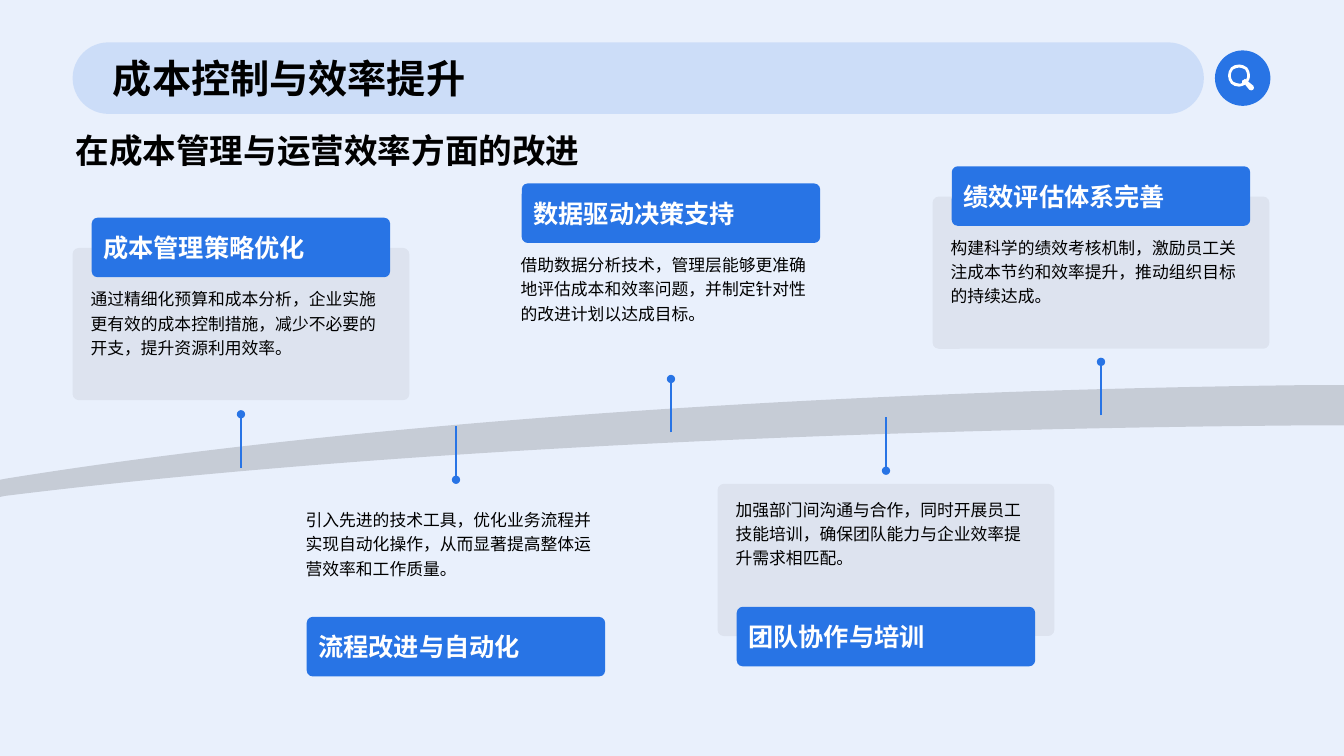
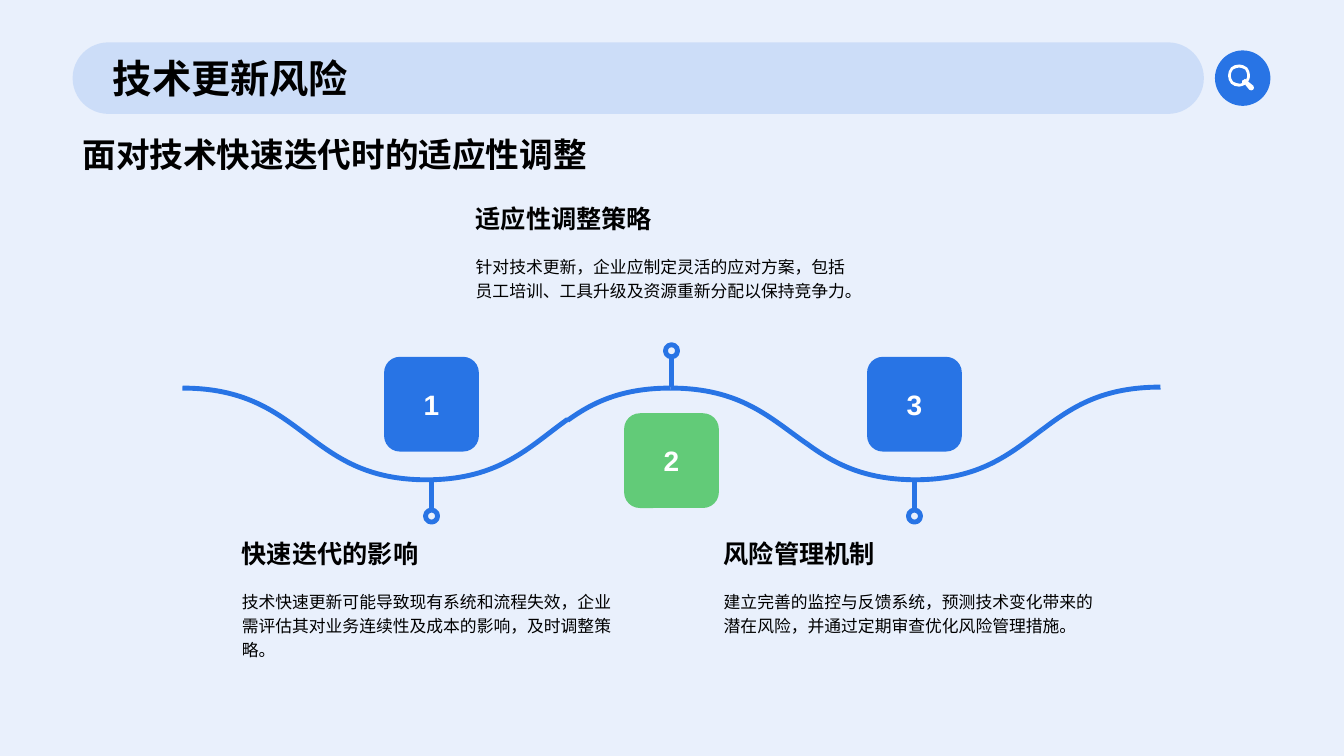
from dataclasses import dataclass

from lxml import etree
from pptx import Presentation
from pptx.dml.color import RGBColor
from pptx.enum.shapes import MSO_CONNECTOR, MSO_SHAPE
from pptx.enum.text import MSO_ANCHOR, MSO_AUTO_SIZE, PP_ALIGN
from pptx.oxml.ns import qn
from pptx.util import Inches, Pt

RECTANGLE = MSO_SHAPE.RECTANGLE
ROUNDED = MSO_SHAPE.ROUNDED_RECTANGLE
ELLIPSE = MSO_SHAPE.OVAL
STRAIGHT = MSO_CONNECTOR.STRAIGHT
TOP, MIDDLE = MSO_ANCHOR.TOP, MSO_ANCHOR.MIDDLE
LEFT, CENTER = PP_ALIGN.LEFT, PP_ALIGN.CENTER
NO_AUTOFIT = MSO_AUTO_SIZE.NONE
TITLE_ONLY = 5
SLIDE_WIDTH, SLIDE_HEIGHT = 13.33, 7.5


@dataclass(frozen=True)
class Theme:
    blue: str = "2874E5"
    green: str = "62CB78"
    white: str = "FFFFFF"
    black: str = "000000"
    font: str = "Arial"
    title_font: str = "Times New Roman"
    title_size: int = 28
    subtitle_size: int = 24
    number_size: int = 20
    heading_size: int = 18
    body_size: int = 12
    wave_width: float = 3.5
    pointer_width: float = 1.5


THEME = Theme()

# heading, body, label top, pointer start, label above the body, grey panel
CARDS = [
    ("成本管理策略优化",
     "通过精细化预算和成本分析，企业实施更有效的成本控制措施，减少不必要的开支，提升资源利用效率。",
     2.16, 4.64, True, True),
    ("流程改进与自动化",
     "引入先进的技术工具，优化业务流程并实现自动化操作，从而显著提高整体运营效率和工作质量。",
     6.12, 4.23, False, False),
    ("数据驱动决策支持",
     "借助数据分析技术，管理层能够更准确地评估成本和效率问题，并制定针对性的改进计划以达成目标。",
     1.82, 4.29, True, False),
    ("团队协作与培训",
     "加强部门间沟通与合作，同时开展员工技能培训，确保团队能力与企业效率提升需求相匹配。",
     6.02, 4.14, False, True),
    ("绩效评估体系完善",
     "构建科学的绩效考核机制，激励员工关注成本节约和效率提升，推动组织目标的持续达成。",
     1.65, 4.12, True, True),
]

# heading, body, marker centre, text left, text below the wave, box colour
STEPS = [
    ("快速迭代的影响",
     "技术快速更新可能导致现有系统和流程失效，企业需评估其对业务连续性及成本的影响，及时调整策略。",
     4.28, 2.3, True, THEME.blue),
    ("适应性调整策略",
     "针对技术更新，企业应制定灵活的应对方案，包括员工培训、工具升级及资源重新分配以保持竞争力。",
     6.66, 4.62, False, THEME.green),
    ("风险管理机制",
     "建立完善的监控与反馈系统，预测技术变化带来的潜在风险，并通过定期审查优化风险管理措施。",
     9.07, 7.08, True, THEME.blue),
]

# A contour is a start point, then segments: one point for a line, three for a curve.
ROAD = [((13.33, 3.82), [
    [(13.33, 4.22)], [(12.99, 4.22)],
    [(7.85, 4.26), (3.27, 4.52), (0.05, 4.92)],
    [(0, 4.93)], [(0, 4.76)], [(0.05, 4.75)],
    [(3.27, 4.23), (7.85, 3.88), (12.99, 3.82)],
])]
WAVE_PIECES = [
    ((1.81, 3.85), [[(3.03, 3.85), (3.03, 4.76), (4.23, 4.76)],
                    [(4.96, 4.76), (5.25, 4.43), (5.63, 4.16)]]),
    ((5.63, 4.17), [[(5.88, 3.99), (6.17, 3.85), (6.65, 3.85)]]),
    ((6.65, 3.85), [[(7.35, 3.85), (7.64, 4.15), (8, 4.4)]]),
    ((8, 4.4), [[(8.26, 4.59), (8.56, 4.76), (9.08, 4.76)],
                [(9.72, 4.76), (10.02, 4.5), (10.34, 4.26)]]),
    ((10.34, 4.26), [[(10.63, 4.04), (10.93, 3.84), (11.51, 3.84)]]),
]
MAGNIFIER = [
    ((12.43, 0.85), [
        [(12.38, 0.81)],
        [(12.41, 0.77), (12.4, 0.71), (12.37, 0.67)],
        [(12.34, 0.65), (12.32, 0.64), (12.29, 0.64)],
        [(12.26, 0.64), (12.23, 0.65), (12.21, 0.67)],
        [(12.17, 0.72), (12.17, 0.78), (12.21, 0.83)],
        [(12.23, 0.85), (12.26, 0.86), (12.29, 0.86)],
        [(12.31, 0.86), (12.33, 0.85), (12.35, 0.84)],
        [(12.39, 0.89)],
        [(12.4, 0.9), (12.42, 0.9), (12.43, 0.89)],
        [(12.44, 0.88), (12.44, 0.86), (12.43, 0.85)],
    ]),
    ((12.36, 0.79), [
        [(12.35, 0.78), (12.34, 0.78), (12.34, 0.79)],
        [(12.32, 0.8)],
        [(12.32, 0.8), (12.32, 0.81), (12.32, 0.82)],
        [(12.33, 0.82)],
        [(12.32, 0.83), (12.3, 0.83), (12.29, 0.83)],
        [(12.27, 0.83), (12.25, 0.82), (12.23, 0.81)],
        [(12.2, 0.78), (12.2, 0.72), (12.23, 0.69)],
        [(12.25, 0.68), (12.27, 0.67), (12.29, 0.67)],
        [(12.31, 0.67), (12.33, 0.68), (12.35, 0.69)],
        [(12.37, 0.72), (12.38, 0.76), (12.36, 0.79)],
    ]),
]


def style_shape(shape, fill=None, opacity=100, line=None):
    shape.shadow.inherit = False
    if fill:
        shape.fill.solid()
        shape.fill.fore_color.rgb = RGBColor.from_string(fill)
        if opacity < 100:
            color = shape.element.spPr.find(".//" + qn("a:srgbClr"))
            etree.SubElement(color, qn("a:alpha"), val=str(opacity * 1000))
    else:
        shape.fill.background()
    if line:
        shape.line.color.rgb = RGBColor.from_string(line)
        shape.line.width = Pt(THEME.wave_width)
    else:
        shape.line.fill.background()
    return shape


def add_preset(slide, kind, at, radius=None, **style):
    shape = slide.shapes.add_shape(kind, *map(Inches, at))
    if radius is not None:
        shape.adjustments[0] = radius
    return style_shape(shape, **style)


def write_text(box, text, size=THEME.body_size, color=THEME.black, bold=False,
               font=THEME.font, align=LEFT, anchor=TOP, spacing=None, wrap=True):
    frame = box.text_frame
    frame.word_wrap = wrap
    frame.auto_size = NO_AUTOFIT
    frame.vertical_anchor = anchor
    para = frame.paragraphs[0]
    para.alignment = align
    if spacing:
        para.line_spacing = spacing
    span = para.add_run()
    span.text = text
    span.font.name = font
    span.font.size = Pt(size)
    span.font.bold = bold
    span.font.color.rgb = RGBColor.from_string(color)


def add_text(slide, text, at, **text_format):
    write_text(slide.shapes.add_textbox(*map(Inches, at)), text, **text_format)


def add_line(slide, x, start, end, width, tail=None):
    """Draw a vertical line, with an optional arrowhead kind at its end."""
    line = slide.shapes.add_connector(STRAIGHT, *map(Inches, (x, start, x, end)))
    line.line.color.rgb = RGBColor.from_string(THEME.blue)
    line.line.width = Pt(width)
    if tail:
        outline = line.element.spPr.find(qn("a:ln"))
        etree.SubElement(outline, qn("a:tailEnd"), type=tail)
    etree.SubElement(line.element.spPr, qn("a:effectLst"))


def to_lengths(point):
    return tuple(map(Inches, point))


def add_outline(slide, contours, closed=True, **style):
    """Build contours from straight segments, then bend those of three points."""
    builder = slide.shapes.build_freeform(*to_lengths(contours[0][0]))
    for index, (start, segments) in enumerate(contours):
        if index:
            builder.move_to(*to_lengths(start))
        points = [to_lengths(point) for segment in segments for point in segment]
        builder.add_line_segments(points, close=closed)
    shape = builder.convert_to_shape()
    steps = iter(list(shape.element.spPr.iter(qn("a:lnTo"))))
    for _, segments in contours:
        for segment in segments:
            curve, *others = [next(steps) for _ in segment]
            if others:
                curve.tag = qn("a:cubicBezTo")
            for other in others:
                curve.append(other[0])
                other.getparent().remove(other)
    return style_shape(shape, **style)


def prepare_layout(deck):
    """Set the shared title place and drop unused placeholders."""
    layout = deck.slide_layouts[TITLE_ONLY]
    for holder in list(layout.placeholders):
        if holder.placeholder_format.idx:
            layout.shapes.element.remove(holder.element)
    title = layout.placeholders[0]
    title.left, title.top = Inches(1.02), Inches(0.46)
    title.width, title.height = Inches(10.63), Inches(0.63)
    return layout


def add_header(slide, layout):
    """Draw the tint, title band and search button, then move them to the layout."""
    tint = add_preset(slide, RECTANGLE, (0, 0, SLIDE_WIDTH, SLIDE_HEIGHT),
                      fill=THEME.blue, opacity=10)
    band = add_preset(slide, ROUNDED, (0.72, 0.42, 11.22, 0.71), radius=0.5,
                      fill=THEME.blue, opacity=15)
    button = add_preset(slide, ELLIPSE, (12.05, 0.5, 0.55, 0.55), fill=THEME.blue)
    magnifier = add_outline(slide, MAGNIFIER, fill=THEME.white)
    first_place = 2
    for place, shape in enumerate((tint, band, button, magnifier), first_place):
        layout.shapes.element.insert(place, shape.element)


def add_slide(deck, layout, title):
    slide = deck.slides.add_slide(layout)
    write_text(slide.shapes.title, title, size=THEME.title_size, bold=True,
               font=THEME.title_font, anchor=MIDDLE)
    return slide


def add_subtitle(slide, text, at, anchor):
    add_text(slide, text, at, size=THEME.subtitle_size, bold=True, anchor=anchor)


def add_card(slide, left, heading, body, top, pointer_start, label_above, has_panel):
    panel_offset, body_offset = (0.3, 0.62) if label_above else (-1.22, -1.15)
    pointer_length = -0.53 if label_above else 0.53
    label_width = 2.96
    if has_panel:
        add_preset(slide, ROUNDED, (left - 0.19, top + panel_offset, 3.34, 1.51),
                   radius=0.04, fill=THEME.black, opacity=5)
    add_text(slide, body, (left - 0.11, top + body_offset, 3.18, 1.12), spacing=1.2)
    label = add_preset(slide, ROUNDED, (left, top, label_width, 0.59), radius=0.1,
                       fill=THEME.blue)
    write_text(label, heading, size=THEME.heading_size, color=THEME.white,
               bold=True, anchor=MIDDLE)
    add_line(slide, left + label_width / 2, pointer_start,
             pointer_start + pointer_length, THEME.pointer_width, tail="oval")


def add_step(slide, number, heading, body, center, text_left, below, color):
    if below:
        stem, dot_top, box_top, text_top = (5.05, 4.76), 5.06, 3.54, 5.21
    else:
        stem, dot_top, box_top, text_top = (3.54, 3.84), 3.42, 4.1, 1.89
    dot, box_side, heading_height = 0.12, 0.94, 0.56
    add_line(slide, center, *stem, THEME.wave_width)
    add_preset(slide, ELLIPSE, (center - dot / 2, dot_top, dot, dot), line=THEME.blue)
    box = add_preset(slide, ROUNDED,
                     (center - box_side / 2, box_top, box_side, box_side), fill=color)
    write_text(box, str(number), size=THEME.number_size, color=THEME.white,
               bold=True, align=CENTER, anchor=MIDDLE, wrap=False)
    add_text(slide, heading, (text_left, text_top, 3.96, heading_height),
             size=THEME.heading_size, bold=True, anchor=MIDDLE)
    add_text(slide, body, (text_left, text_top + heading_height + 0.01, 3.96, 0.93),
             spacing=1.2)


def fill_cost_slide(slide):
    add_outline(slide, ROAD, fill=THEME.black, opacity=15)
    add_subtitle(slide, "在成本管理与运营效率方面的改进", (0.65, 1.24, 6.59, 0.57), TOP)
    first_left, last_left = 0.91, 9.44
    pitch = (last_left - first_left) / (len(CARDS) - 1)
    for index, card in enumerate(CARDS):
        add_card(slide, first_left + index * pitch, *card)


def fill_risk_slide(slide):
    add_subtitle(slide, "面对技术快速迭代时的适应性调整", (0.72, 1.24, 11.88, 0.57), MIDDLE)
    for piece in WAVE_PIECES:
        add_outline(slide, [piece], closed=False, line=THEME.blue)
    for number, step in enumerate(STEPS, 1):
        add_step(slide, number, *step)


def main():
    deck = Presentation()
    deck.slide_width, deck.slide_height = Inches(SLIDE_WIDTH), Inches(SLIDE_HEIGHT)
    layout = prepare_layout(deck)
    cost_slide = add_slide(deck, layout, "成本控制与效率提升")
    add_header(cost_slide, layout)
    fill_cost_slide(cost_slide)
    fill_risk_slide(add_slide(deck, layout, "技术更新风险"))
    deck.save("out.pptx")


if __name__ == "__main__":
    main()
